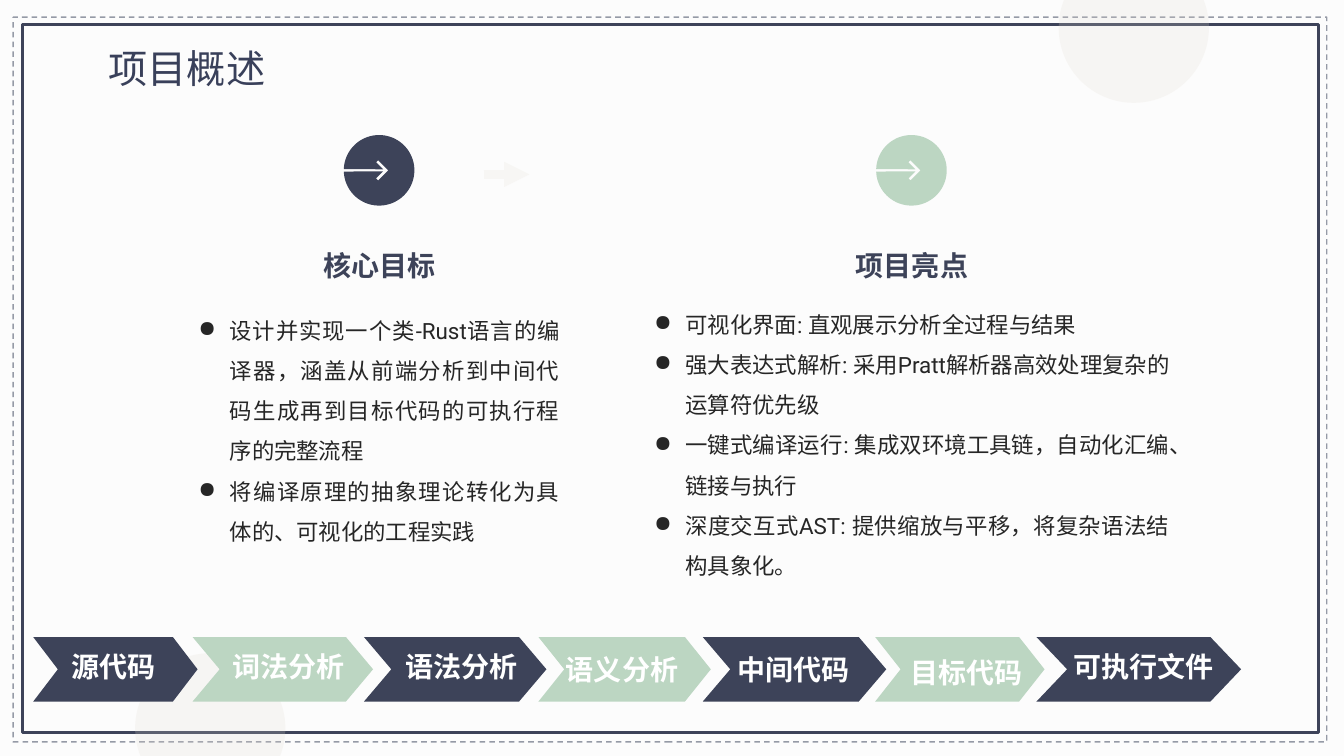
from dataclasses import dataclass
from math import cos, radians, sin

from lxml.etree import SubElement
from pptx import Presentation
from pptx.dml.color import RGBColor
from pptx.enum.dml import MSO_LINE
from pptx.enum.shapes import MSO_CONNECTOR, MSO_SHAPE
from pptx.enum.text import MSO_AUTO_SIZE, PP_ALIGN
from pptx.oxml.ns import qn
from pptx.util import Inches, Pt


@dataclass(frozen=True)
class Theme:
    """Colours, font and type sizes of the slide."""
    navy: str = "3D4359"
    green: str = "BCD6C2"
    white: str = "FFFFFF"
    ink: str = "262626"
    title: str = "39405A"
    dash: str = "2F3952"
    sand: str = "E1DAD0"
    paper: str = "F2F2F2"
    pale: str = "F7F6F4"
    font: str = "Roboto"
    big: int = 28
    mid: int = 20
    small: int = 16


T = Theme()

STEPS = [
    ("源代码", 0.33, 1.63, 0.47, 6.39, 1.32),
    ("词法分析", 1.91, 1.79, 2.2, 6.39, 1.32),
    ("语法分析", 3.61, 1.81, 3.92, 6.39, 1.32),
    ("语义分析", 5.34, 1.71, 5.51, 6.42, 1.32),
    ("中间代码", 6.97, 1.82, 7.21, 6.42, 1.32),
    ("目标代码", 8.68, 1.68, 8.93, 6.45, 1.32),
    ("可执行文件", 10.28, 2.03, 10.42, 6.39, 1.85),
]
GOALS = [
    "设计并实现一个类-Rust语言的编译器，涵盖从前端分析到中间代码生成再到目标代码的可执行程序的完整流程",
    "将编译原理的抽象理论转化为具体的、可视化的工程实践",
]
MERITS = [
    "可视化界面: 直观展示分析全过程与结果",
    "强大表达式解析: 采用Pratt解析器高效处理复杂的运算符优先级",
    "一键式编译运行: 集成双环境工具链，自动化汇编、链接与执行",
    "深度交互式AST: 提供缩放与平移，将复杂语法结构具象化。",
]


def fade(fill, share):
    """Make a solid fill element let the ground show through."""
    SubElement(fill[0], qn("a:alpha"), val=str(share * 1000))


def paint(shape, color, share=100):
    """Fill a shape flat, without outline or shadow."""
    shape.shadow.inherit = False
    shape.fill.solid()
    shape.fill.fore_color.rgb = RGBColor.from_string(color)
    shape.line.fill.background()
    if share < 100:
        fade(shape.element.spPr.find(qn("a:solidFill")), share)


def block(slide, kind, box, color, share):
    """Add a filled, see-through preset shape."""
    shape = slide.shapes.add_shape(kind, *map(Inches, box))
    paint(shape, color, share)


def frame(slide, box, color, width, dash=None, share=100):
    """Add an unfilled rectangle with an outline."""
    shape = slide.shapes.add_shape(MSO_SHAPE.RECTANGLE, *map(Inches, box))
    shape.shadow.inherit = False
    shape.fill.background()
    shape.line.color.rgb = RGBColor.from_string(color)
    shape.line.width = Pt(width)
    if dash:
        shape.line.dash_style = dash
    if share < 100:
        fade(shape.element.spPr.find(qn("a:ln")).find(qn("a:solidFill")), share)


def outline(slide, points, color):
    """Add a closed, filled polygon through points in inches."""
    spots = [(Inches(x), Inches(y)) for x, y in points]
    pen = slide.shapes.build_freeform(*spots[0])
    pen.add_line_segments(spots[1:], close=True)
    paint(pen.convert_to_shape(), color)


def text(slide, box, lines, size, color, bold=False, wrap=True,
         align=PP_ALIGN.CENTER, gap=None, dots=False):
    """Add a text box with one run per paragraph."""
    area = slide.shapes.add_textbox(*map(Inches, box)).text_frame
    area.word_wrap = wrap
    area.auto_size = MSO_AUTO_SIZE.SHAPE_TO_FIT_TEXT
    for at, line in enumerate(lines):
        para = area.add_paragraph() if at else area.paragraphs[0]
        para.alignment = align
        if gap:
            para.line_spacing = gap
        if dots:
            props = para._p.get_or_add_pPr()
            props.set("marL", str(Inches(0.31)))
            props.set("indent", str(-Inches(0.31)))
            SubElement(props, qn("a:buChar"), char="●")
        run = para.add_run()
        run.text = line
        font = run.font
        font.name, font.size, font.bold = T.font, Pt(size), bold
        font.color.rgb = RGBColor.from_string(color)
        SubElement(run._r.get_or_add_rPr(), qn("a:ea"), typeface=T.font)


def chevron(slide, left, width, color):
    """Add one step of the pipeline."""
    top, mid, low = 6.32, 6.64, 6.96
    right, notch = left + width, width * 0.15
    outline(slide, [(left, top), (right - notch, top), (right, mid),
                    (right - notch, low), (left, low), (left + notch, mid)], color)


def badge(slide, x, y, color):
    """Add a disc with an arrow cut in from its left edge."""
    turns = range(-178, 179, 4)
    rim = [(x + 0.35 * cos(radians(a)), y + 0.35 * sin(radians(a))) for a in turns]
    cut = [(0.04, 0.01), (-0.03, 0.08), (-0.01, 0.1), (0.09, 0),
           (-0.01, -0.1), (-0.03, -0.08), (0.04, -0.01)]
    outline(slide, rim + [(x + dx, y + dy) for dx, dy in cut], color)


def arrow(slide, start, end, y):
    """Add the pale thick arrow."""
    line = slide.shapes.add_connector(
        MSO_CONNECTOR.STRAIGHT, Inches(start), Inches(y), Inches(end), Inches(y))
    line.line.color.rgb = RGBColor.from_string(T.pale)
    line.line.width = Pt(6)
    props = line._element.spPr
    SubElement(props.find(qn("a:ln")), qn("a:tailEnd"), type="triangle")
    SubElement(props, qn("a:effectLst"))


def column(slide, mid, color, head, box, points):
    """Add a badge, its heading and its bulleted points."""
    badge(slide, mid, 1.69, color)
    text(slide, (mid - 0.65, 2.25, 1.31, 0.6), [head], T.mid, T.navy,
         bold=True, wrap=False, gap=1.5)
    text(slide, box, points, T.small, T.ink, align=PP_ALIGN.JUSTIFY,
         gap=1.5, dots=True)


def ground(slide):
    """Add the tinted page, its frames and its discs."""
    block(slide, MSO_SHAPE.RECTANGLE, (0, 0, 13.33, 7.5), T.paper, 20)
    frame(slide, (0.22, 0.24, 12.86, 7.03), T.navy, 2.25)
    frame(slide, (0.13, 0.17, 13.03, 7.19), T.dash, 1, MSO_LINE.DASH, 50)
    for left, top in ((10.5, -0.47), (1.34, 6.48)):
        block(slide, MSO_SHAPE.OVAL, (left, top, 1.49, 1.49), T.sand, 20)


def main():
    """Build and save the slide."""
    deck = Presentation()
    deck.slide_width, deck.slide_height = Inches(13.33), Inches(7.5)
    slide = deck.slides.add_slide(deck.slide_layouts[6])
    ground(slide)
    text(slide, (0.98, 0.39, 1.76, 0.57), ["项目概述"], T.big, T.title,
         wrap=False, align=PP_ALIGN.LEFT)
    column(slide, 3.76, T.navy, "核心目标", (1.87, 2.96, 3.78, 2.52), GOALS)
    column(slide, 9.04, T.green, "项目亮点", (6.39, 2.9, 5.31, 2.93), MERITS)
    arrow(slide, 4.8, 5.25, 1.73)
    for at, (name, left, width, x, y, span) in enumerate(STEPS):
        chevron(slide, left, width, T.green if at % 2 else T.navy)
        text(slide, (x, y, span, 0.44), [name], T.mid, T.white, bold=True)
    deck.save("out.pptx")


if __name__ == "__main__":
    main()
